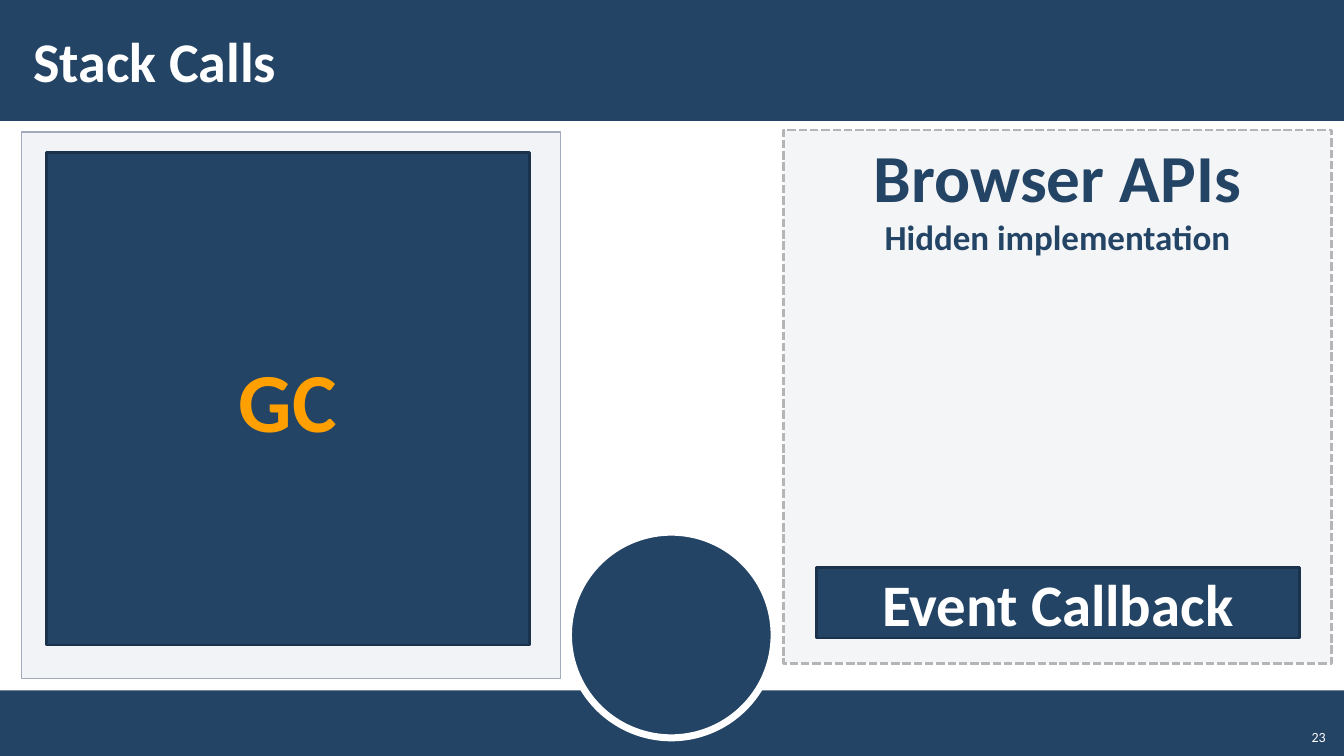
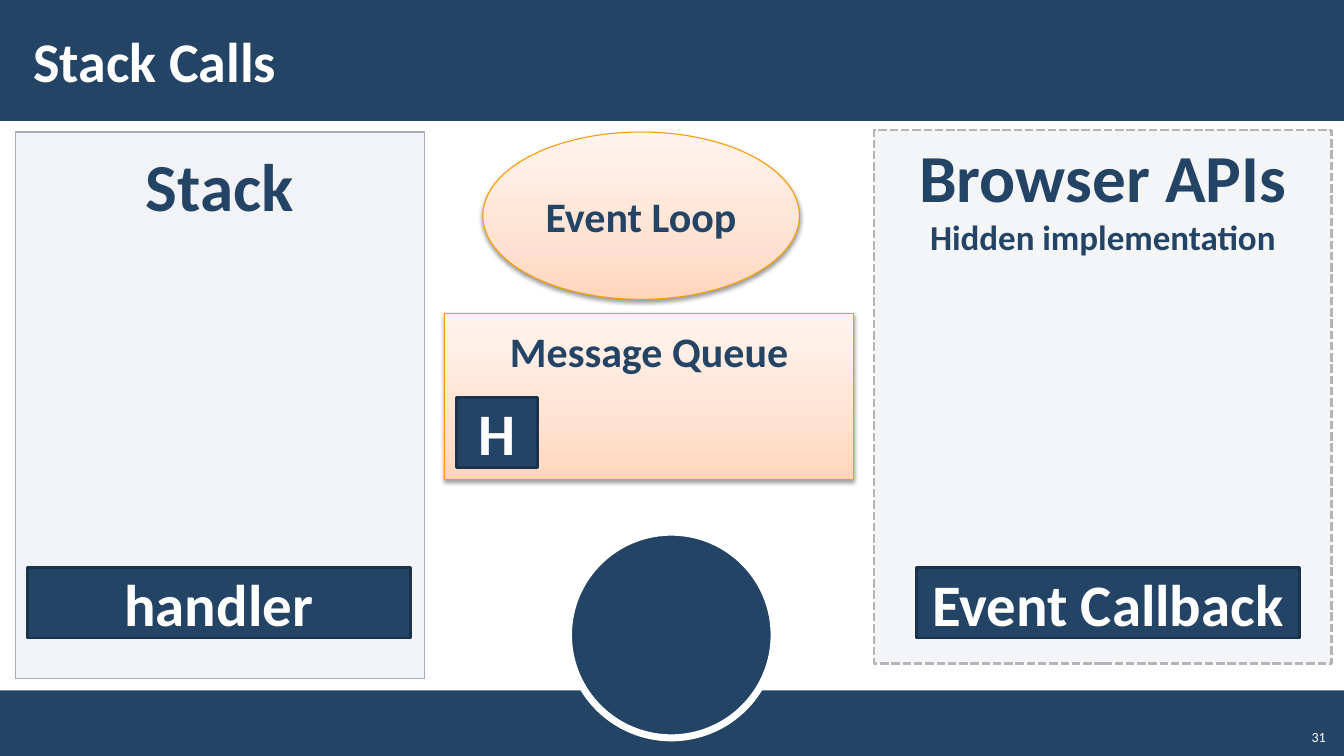
"""Build two slides on stack calls, browser APIs and the event loop."""
from copy import deepcopy

from lxml import etree
from pptx import Presentation
from pptx.dml.color import RGBColor
from pptx.enum.dml import MSO_LINE
from pptx.enum.shapes import MSO_SHAPE
from pptx.enum.text import MSO_ANCHOR, MSO_AUTO_SIZE, PP_ALIGN
from pptx.oxml.ns import qn
from pptx.util import Inches, Pt

RECTANGLE, OVAL = MSO_SHAPE.RECTANGLE, MSO_SHAPE.OVAL
TOP, MIDDLE, BOTTOM = MSO_ANCHOR.TOP, MSO_ANCHOR.MIDDLE, MSO_ANCHOR.BOTTOM
LEFT, CENTER, RIGHT = PP_ALIGN.LEFT, PP_ALIGN.CENTER, PP_ALIGN.RIGHT
DASH, NO_AUTOFIT = MSO_LINE.SQUARE_DOT, MSO_AUTO_SIZE.NONE

NAVY = RGBColor(0x23, 0x44, 0x65)
DARK_NAVY = RGBColor(0x1A, 0x32, 0x4B)
WHITE = RGBColor(0xFF, 0xFF, 0xFF)
AMBER = RGBColor(0xFF, 0xA0, 0x00)
ORANGE = RGBColor(0xF9, 0x9C, 0x00)
BLUE_GREY = RGBColor(0xC2, 0xC7, 0xD2)
PANEL_EDGE = RGBColor(0xA3, 0xAB, 0xBC)
PALE_GREY = RGBColor(0xF4, 0xF5, 0xF7)
DASH_GREY = RGBColor(0xB5, 0xB5, 0xB7)
PEACH_STOPS = [
    (0, RGBColor(0xFF, 0xD6, 0xBD)),
    (0.35, RGBColor(0xFF, 0xE2, 0xD1)),
    (1, RGBColor(0xFF, 0xF4, 0xEE)),
]

BAND = dict(fill=NAVY)
CIRCLE = dict(fill=NAVY, line=WHITE, width=5)
STACK_PANEL = dict(fill=BLUE_GREY, line=PANEL_EDGE, width=1, opacity=20)
BROWSER_PANEL = dict(fill=PALE_GREY, line=DASH_GREY, width=2, dash=DASH)
CALL = dict(fill=NAVY, line=DARK_NAVY, width=2)
PEACH = dict(stops=PEACH_STOPS, line=ORANGE, width=0.75)

SLIDE_WIDTH, SLIDE_HEIGHT = Inches(13.33), Inches(7.5)
FRAME_ROW, PANEL_ROW = (17.47, 72.27), (17.2, 70.53)
CALL_TOP, CALL_HEIGHT = 75.07, 9.33
PANEL_INSET = (0.16, 0.12)


def draw(shape, area, fill=None, stops=None, line=None, width=1, dash=None, opacity=None):
    """Place a shape by percentages of the slide and give it fill, line and shadow."""
    left, top, across, down = area
    shape.left, shape.width = (round(SLIDE_WIDTH * share / 100) for share in (left, across))
    shape.top, shape.height = (round(SLIDE_HEIGHT * share / 100) for share in (top, down))
    properties = shape.element.spPr
    if line is None:
        shape.line.fill.background()
    else:
        shape.line.color.rgb = line
        shape.line.width = Pt(width)
        if dash is not None:
            shape.line.dash_style = dash
    shape.shadow.inherit = False
    if stops:
        shape.fill.gradient()
        shape.fill.gradient_angle = 90
        stop_list = properties.find(".//" + qn("a:gsLst"))
        stop_list.insert(1, deepcopy(stop_list[0]))
        for stop, (position, color) in zip(shape.fill.gradient_stops, stops):
            stop.position = position
            stop.color.rgb = color
        shadow = etree.SubElement(
            properties.find(qn("a:effectLst")), qn("a:outerShdw"),
            blurRad="40000", dist="20000", dir="5400000", rotWithShape="0")
        color = etree.SubElement(shadow, qn("a:srgbClr"), val="000000")
        etree.SubElement(color, qn("a:alpha"), val="38000")
    elif fill is None:
        shape.fill.background()
    else:
        shape.fill.solid()
        shape.fill.fore_color.rgb = fill
        if opacity:
            color = properties.find(qn("a:solidFill")).find(qn("a:srgbClr"))
            etree.SubElement(color, qn("a:alpha"), val=str(opacity * 1000))
    return shape


def write(shape, text, sizes, color=NAVY, bold=True, align=CENTER, anchor=MIDDLE,
          inset=(0.1, 0.05)):
    """Fill a shape with one paragraph per line of text, each with its own size."""
    frame = shape.text_frame
    frame.text = text
    frame.word_wrap = True
    frame.auto_size = NO_AUTOFIT
    frame.vertical_anchor = anchor
    frame.margin_left = frame.margin_right = Inches(inset[0])
    frame.margin_top = frame.margin_bottom = Inches(inset[1])
    for paragraph, size in zip(frame.paragraphs, sizes):
        paragraph.alignment = align
        paragraph.space_before = Pt(0)
        paragraph_properties = paragraph._p.get_or_add_pPr()
        paragraph_properties.set("marL", "0")
        paragraph_properties.set("indent", "0")
        etree.SubElement(paragraph_properties, qn("a:buNone"))
        font = paragraph.runs[0].font
        font.name, font.size, font.bold = "Calibri", Pt(size), bold
        font.color.rgb = color


pages = [
    dict(
        number="23", layout=1, stack=(1.58, 40.13), browser=(58.28, 40.8),
        boxes=[
            (RECTANGLE, CALL, (3.45, 20.13, 35.93, 65.2), "GC", 60, AMBER),
            (RECTANGLE, CALL, (60.75, CALL_TOP, 35.93, CALL_HEIGHT), "Event Callback", 42, WHITE),
        ]),
    dict(
        number="31", layout=3, stack=(1.13, 30.45), browser=(65.03, 34.05),
        queue=(33.08, 41.47, 30.45, 22),
        boxes=[
            (RECTANGLE, CALL, (68.18, CALL_TOP, 28.5, CALL_HEIGHT), "Event Callback", 42, WHITE),
            (RECTANGLE, CALL, (2.03, CALL_TOP, 28.5, CALL_HEIGHT), "handler", 42, WHITE),
            (OVAL, PEACH, (35.93, 17.47, 23.55, 22.13), "Event Loop", 30, NAVY),
            (RECTANGLE, CALL, (33.98, 52.53, 6, CALL_HEIGHT), "H", 42, WHITE),
        ]),
]
master_shapes = [
    (RECTANGLE, BAND, (0, 91.33, 100, 8.67)),
    (OVAL, CIRCLE, (42.3, 70.4, 15.3, 27.2)),
    (RECTANGLE, BAND, (0, 0, 100, 16)),
]

presentation = Presentation()
presentation.slide_width, presentation.slide_height = SLIDE_WIDTH, SLIDE_HEIGHT

for page in pages:
    slide = presentation.slides.add_slide(presentation.slide_layouts[page["layout"]])
    shapes = slide.shapes

    title = draw(shapes.title, (1.58, 1.47, 79.73, 12.93))
    write(title, "Stack Calls", [40], color=WHITE, align=LEFT, inset=(0.12, 0.04))

    left, across = page["stack"]
    top, down = FRAME_ROW
    stack = draw(slide.placeholders[1], (left, top, across, down), **STACK_PANEL)
    write(stack, "Stack", [48], anchor=TOP, inset=PANEL_INSET)

    if "queue" in page:
        queue = draw(slide.placeholders[2], page["queue"], **PEACH)
        write(queue, "Message Queue", [30], anchor=TOP, inset=PANEL_INSET)

    left, across = page["browser"]
    top, down = PANEL_ROW
    browser = shapes.add_shape(RECTANGLE, 0, 0, 0, 0)
    draw(browser, (left, top, across, down), **BROWSER_PANEL)
    write(browser, "Browser APIs\nHidden implementation", [48, 25], anchor=TOP)

    for kind, look, area, text, size, color in page["boxes"]:
        box = draw(shapes.add_shape(kind, 0, 0, 0, 0), area, **look)
        write(box, text, [size], color=color)

    number = draw(shapes.add_textbox(0, 0, 0, 0), (96.38, 94.93, 3, 4.27))
    write(number, page["number"], [10], color=WHITE, bold=False, align=RIGHT, anchor=BOTTOM)

master_tree = presentation.slide_master.shapes.element
for index, (kind, look, area) in enumerate(master_shapes, start=2):
    shape = draw(shapes.add_shape(kind, 0, 0, 0, 0), area, **look)
    master_tree.insert(index, shape.element)

presentation.save("out.pptx")
